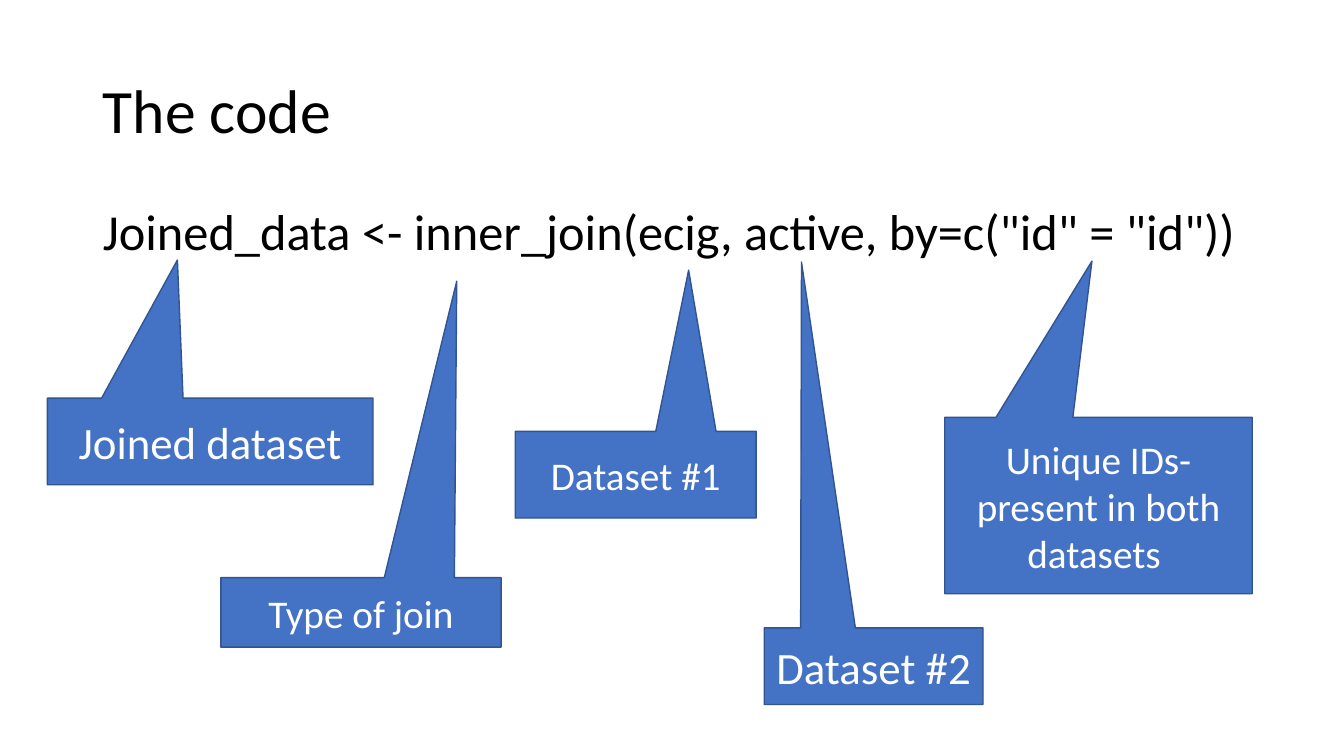
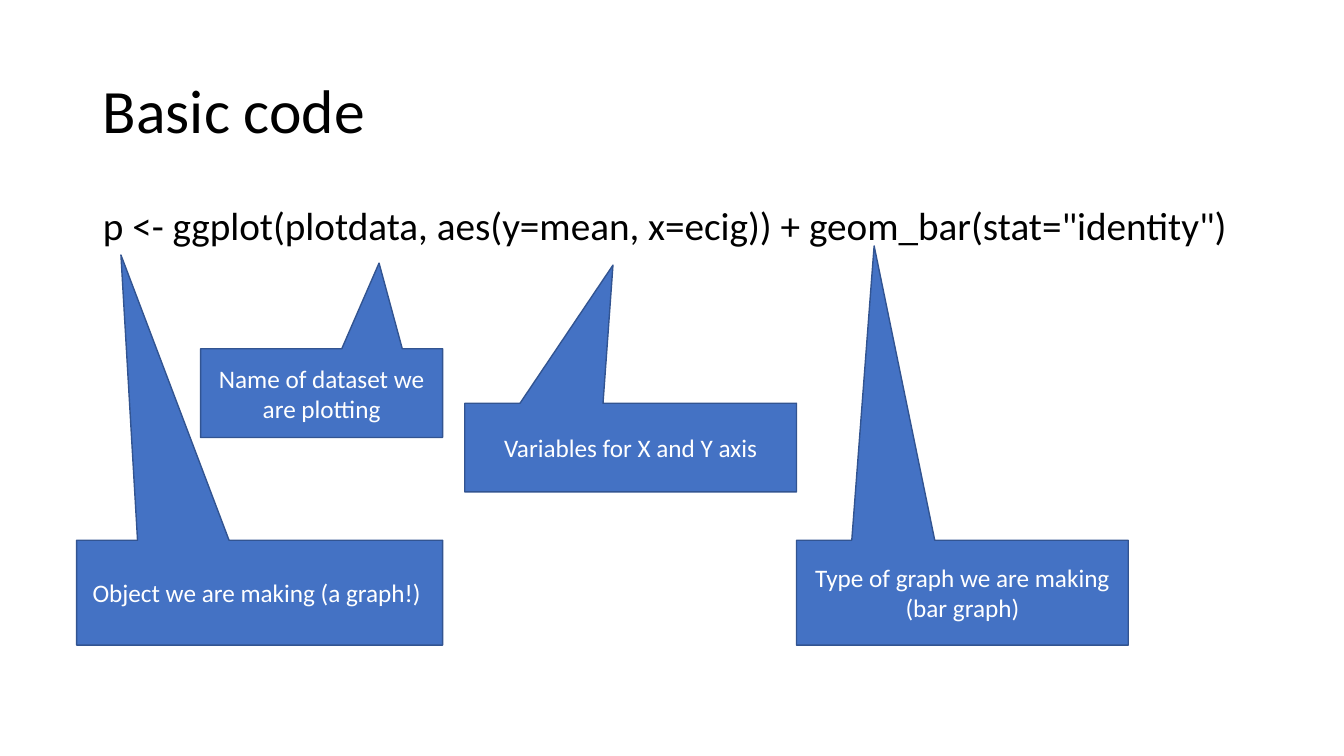
from pptx import Presentation
from pptx.dml.color import RGBColor
from pptx.enum.shapes import MSO_SHAPE as Shape
from pptx.enum.text import MSO_ANCHOR as Anchor, MSO_AUTO_SIZE as Fit, PP_ALIGN as Align
from pptx.oxml.ns import qn
from pptx.util import Inches, Pt

BLACK = RGBColor(0x00, 0x00, 0x00)
WHITE = RGBColor(0xFF, 0xFF, 0xFF)
BLUE = RGBColor(0x44, 0x72, 0xC4)
EDGE = RGBColor(0x32, 0x54, 0x91)
FONT = "Calibri"

# Callouts: text, size, box (left, top, width, height), tip (x, y)
JOIN = [
    ("Joined dataset", 32, (0.47, 3.95, 3.23, 0.86), (1.76, 2.58)),
    ("Type of join", 28, (2.19, 5.73, 2.78, 0.69), (4.53, 2.79)),
    ("Dataset #1", 28, (5.11, 4.28, 2.39, 0.86), (6.83, 2.68)),
    ("Dataset #2 ", 32, (7.58, 6.23, 2.17, 0.76), (7.95, 2.6)),
    ("Unique IDs- present in both datasets ", 28,
     (9.37, 4.14, 3.05, 1.75), (10.83, 2.59)),
]
PLOT = [
    ("Name of dataset we are plotting", 18, (1.99, 3.46, 2.4, 0.88), (3.76, 2.61)),
    ("Variables for X and Y axis", 18, (4.61, 4, 3.29, 0.88), (6.08, 2.63)),
    ("Type of graph we are making (bar graph)", 18,
     (7.9, 5.36, 3.29, 1.04), (8.67, 2.44)),
    ("Object we are making (a graph!) ", 18, (0.76, 5.36, 3.63, 1.04), (1.2, 2.53)),
]


def style(para, size, color, align):
    para.alignment = align
    font = para.font
    font.name, font.size, font.color.rgb = FONT, Pt(size), color


def fill_holder(shape, text, size, box, anchor):
    """Place a title or body placeholder and set its one line of text."""
    shape.left, shape.top, shape.width, shape.height = map(Inches, box)
    frame = shape.text_frame
    frame.text = text
    frame.auto_size = Fit.NONE
    frame.vertical_anchor = anchor
    para = frame.paragraphs[0]
    # No bullet and no hanging indent
    props = para._p.get_or_add_pPr()
    props.set("marL", "0")
    props.set("indent", "0")
    props.append(props.makeelement(qn("a:buNone"), {}))
    para.line_spacing = 0.9
    para.space_before = Pt(0)
    style(para, size, BLACK, Align.LEFT)


def add_callout(slide, text, size, box, tip):
    """Draw a callout whose pointer ends at tip."""
    left, top, width, height = box
    shape = slide.shapes.add_shape(Shape.RECTANGULAR_CALLOUT, *map(Inches, box))
    shape.adjustments[0] = (tip[0] - left) / width - 0.5
    shape.adjustments[1] = (tip[1] - top) / height - 0.5
    shape.shadow.inherit = False
    shape.fill.solid()
    shape.fill.fore_color.rgb = BLUE
    shape.line.color.rgb = EDGE
    shape.line.width = Pt(1)
    frame = shape.text_frame
    frame.text = text
    frame.word_wrap = True
    frame.vertical_anchor = Anchor.MIDDLE
    style(frame.paragraphs[0], size, WHITE, Align.CENTER)


def add_page(deck, title, code, size, notes):
    """Add a slide with a title, a line of code and its callouts."""
    slide = deck.slides.add_slide(deck.slide_layouts[1])
    fill_holder(slide.shapes.title, title, 44, (0.92, 0.4, 11.5, 1.45), Anchor.MIDDLE)
    fill_holder(slide.placeholders[1], code, size, (0.92, 2, 11.5, 0.7), Anchor.TOP)
    for note in notes:
        add_callout(slide, *note)


def main():
    deck = Presentation()
    deck.slide_width, deck.slide_height = Inches(13.33), Inches(7.5)
    # Joining two datasets
    add_page(deck, "The code",
             'Joined_data <- inner_join(ecig, active, by=c("id" = "id"))', 36, JOIN)
    # Plotting a bar graph
    add_page(deck, "Basic code",
             'p <- ggplot(plotdata, aes(y=mean, x=ecig)) + geom_bar(stat="identity")',
             28, PLOT)
    deck.save("out.pptx")


if __name__ == "__main__":
    main()
